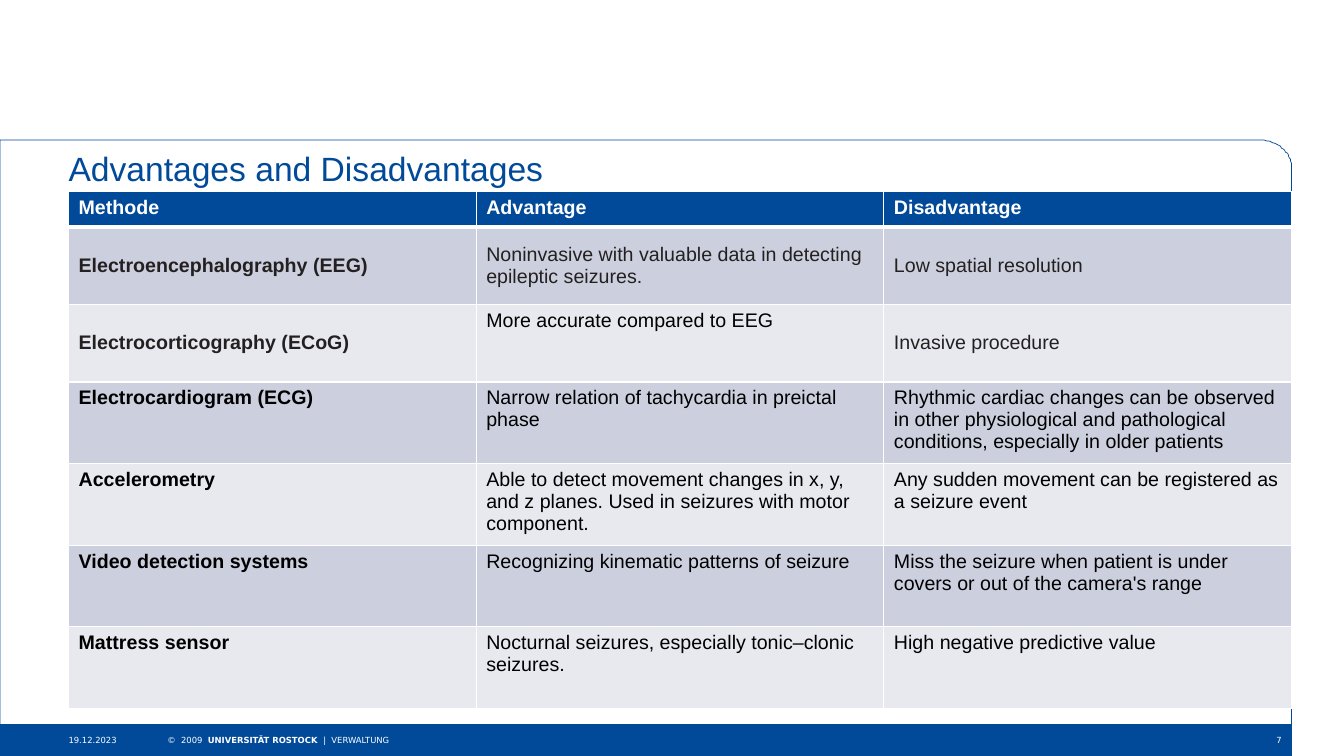
from math import cos, pi, sin

from lxml.etree import SubElement
from pptx import Presentation
from pptx.dml.color import RGBColor
from pptx.enum.shapes import MSO_SHAPE as Shape
from pptx.enum.text import MSO_ANCHOR as Anchor, PP_ALIGN as Align
from pptx.oxml import parse_xml
from pptx.oxml.ns import nsdecls, qn
from pptx.util import Pt

PX = 9144
BLUE = RGBColor(0x00, 0x4A, 0x99)
WHITE = RGBColor(0xFF, 0xFF, 0xFF)
BLACK = RGBColor(0x00, 0x00, 0x00)
INK = RGBColor(0x24, 0x20, 0x21)
DARK = RGBColor(0xCC, 0xD0, 0xDE)
LIGHT = RGBColor(0xE7, 0xE9, 0xEF)

HEAD = ["Methode", "Advantage", "Disadvantage"]
ROWS = [
    ["Electroencephalography (EEG)",
     "Noninvasive with valuable data in detecting epileptic seizures.",
     "Low spatial resolution"],
    ["Electrocorticography (ECoG)",
     "More accurate compared to EEG",
     "Invasive procedure"],
    ["Electrocardiogram (ECG)",
     "Narrow relation of tachycardia in preictal phase",
     "Rhythmic cardiac changes can be observed in other physiological "
     "and pathological conditions, especially in older patients"],
    ["Accelerometry",
     "Able to detect movement changes in x, y, and z planes. "
     "Used in seizures with motor component.",
     "Any sudden movement can be registered as a seizure event"],
    ["Video detection systems",
     "Recognizing kinematic patterns of seizure",
     "Miss the seizure when patient is under covers or out of the "
     "camera's range"],
    ["Mattress sensor",
     "Nocturnal seizures, especially tonic–clonic seizures.",
     "High negative predictive value"],
]
HIGHS = [35, 77, 77, 81, 81, 81, 81]
MID = {(1, 0), (1, 1), (1, 2), (2, 0), (2, 2)}


def scale(box):
    return [n * PX for n in box]


def add_run(para, text, size, color, bold=False, face="Arial"):
    run = para.add_run()
    run.text = text
    font = run.font
    font.size, font.bold, font.name = Pt(size), bold, face
    font.color.rgb = color


def add_text(slide, box, runs, size, color, face, pads=(0, 0, 0, 0),
             anchor=Anchor.TOP, align=Align.LEFT):
    frame = slide.shapes.add_textbox(*scale(box)).text_frame
    frame.word_wrap = True
    frame.vertical_anchor = anchor
    (frame.margin_left, frame.margin_top,
     frame.margin_right, frame.margin_bottom) = scale(pads)
    para = frame.paragraphs[0]
    para.alignment = align
    for text, bold in runs:
        add_run(para, text, size, color, bold, face)


def style(shape):
    shape.shadow.inherit = False
    shape.line.color.rgb = BLUE
    shape.line.width = Pt(0.5)


def add_frame(slide, box):
    left, top, wide, high = box
    right, base = left + wide, top + high
    rx, ry, steps = 33, 26, 24
    turns = [pi / 2 * i / steps for i in range(steps + 1)]
    arc = [(right - rx + rx * sin(t), top + ry - ry * cos(t)) for t in turns]
    build = slide.shapes.build_freeform(left, top, scale=PX)
    build.add_line_segments(arc + [(right, base), (left, base)], close=True)
    shape = build.convert_to_shape()
    shape.fill.background()
    style(shape)


def add_foot(slide, box):
    left, top, wide, high = box
    bar = slide.shapes.add_shape(Shape.RECTANGLE, *scale(box))
    bar.fill.solid()
    bar.fill.fore_color.rgb = BLUE
    style(bar)
    owner = [("©  2009  ", False), ("UNIVERSITÄT ROSTOCK  ", True),
             ("|  VERWALTUNG", False)]
    parts = [
        (68, 98, [("19.12.2023", False)], (0, 5, 0, 5), Align.LEFT),
        (166, 1049, owner, (0, 5, 10, 5), Align.LEFT),
        (wide - 66, 66, [("7", False)], (10, 5, 10, 5), Align.RIGHT),
    ]
    for x, width, runs, pads, align in parts:
        add_text(slide, (left + x, top, width, high), runs, 6, WHITE,
                 "DejaVu Sans", pads, Anchor.MIDDLE, align)


def edge(cell, sides):
    props = cell._tc.get_or_add_tcPr()
    for i, (side, width) in enumerate(sides):
        line = parse_xml(f'<a:ln{side} {nsdecls("a")} w="{Pt(width)}"/>')
        fill = SubElement(line, qn("a:solidFill"))
        SubElement(fill, qn("a:srgbClr"), val=str(WHITE))
        props.insert(i, line)


def add_grid(slide, box):
    data = [HEAD] + ROWS
    shape = slide.shapes.add_table(len(data), len(HEAD), *scale(box))
    table = shape.table
    for col in table.columns:
        col.width = box[2] * PX // len(HEAD)
    for r, texts in enumerate(data):
        table.rows[r].height = HIGHS[r] * PX
        back = DARK if r % 2 else LIGHT
        for c, text in enumerate(texts):
            cell = table.cell(r, c)
            mid = (r, c) in MID
            cell.fill.solid()
            cell.fill.fore_color.rgb = back if r else BLUE
            cell.vertical_anchor = Anchor.MIDDLE if mid else Anchor.TOP
            color = WHITE if r == 0 else INK if mid else BLACK
            add_run(cell.text_frame.paragraphs[0], text, 14, color,
                    r == 0 or c == 0)
            edge(cell, [("L", 1), ("R", 1), ("T", 3 if r == 1 else 1),
                        ("B", 1 if r else 3)])


def main():
    deck = Presentation()
    deck.slide_width, deck.slide_height = scale((1333, 750))
    slide = deck.slides.add_slide(deck.slide_layouts[6])
    add_frame(slide, (0, 139, 1281, 580))
    add_foot(slide, (0, 719, 1281, 31))
    add_text(slide, (68, 147, 530, 44),
             [("Advantages and Disadvantages", False)], 24, BLUE, "Arial")
    add_grid(slide, (68, 190, 1213, sum(HIGHS)))
    deck.save("out.pptx")


if __name__ == "__main__":
    main()
